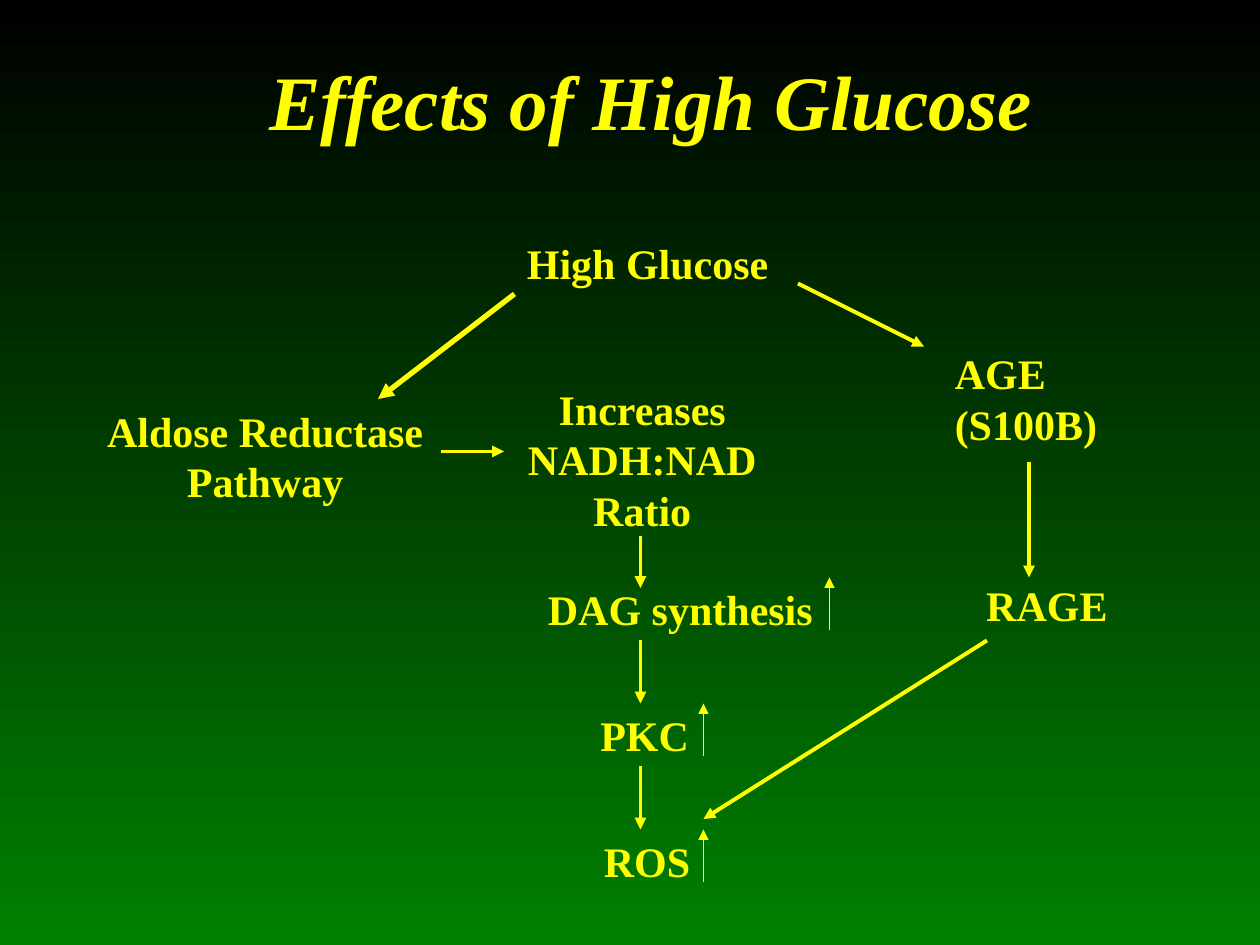
from lxml import etree
from pptx import Presentation
from pptx.dml.color import RGBColor
from pptx.enum.shapes import MSO_CONNECTOR
from pptx.enum.text import MSO_ANCHOR, MSO_AUTO_SIZE, PP_ALIGN
from pptx.oxml.ns import qn
from pptx.util import Pt

STRAIGHT = MSO_CONNECTOR.STRAIGHT
MIDDLE = MSO_ANCHOR.MIDDLE
GROW = MSO_AUTO_SIZE.SHAPE_TO_FIT_TEXT
LEFT, CENTER = PP_ALIGN.LEFT, PP_ALIGN.CENTER

FONT = "Times New Roman"
YELLOW, BLACK, GREEN = "FFFF00", "000000", "008000"
LINE_HEIGHT, LABEL_PADDING = 28.8, 7.2
STEP_PITCH = 72


def rgb(hex_color):
    return RGBColor.from_string(hex_color)


def style_paragraph(paragraph, size, align, italic=False):
    paragraph.alignment = align
    font = paragraph.font
    font.name, font.size = FONT, Pt(size)
    font.bold, font.italic = True, italic
    font.color.rgb = rgb(YELLOW)


def add_label(slide, text, left, top, width, align=LEFT):
    lines = text.split("\n")
    height = len(lines) * LINE_HEIGHT + LABEL_PADDING
    label = slide.shapes.add_textbox(Pt(left), Pt(top), Pt(width), Pt(height))
    frame = label.text_frame
    frame.word_wrap = False
    frame.auto_size = GROW
    frame.text = text
    for paragraph in frame.paragraphs:
        style_paragraph(paragraph, 24, align)


def add_arrow(slide, x1, y1, x2, y2, weight=2.25):
    arrow = slide.shapes.add_connector(STRAIGHT, Pt(x1), Pt(y1), Pt(x2), Pt(y2))
    arrow.line.color.rgb = rgb(YELLOW)
    arrow.line.width = Pt(weight)
    etree.SubElement(arrow.line._ln, qn("a:tailEnd"), type="triangle")
    etree.SubElement(arrow._element.spPr, qn("a:effectLst"))


def paint_background(slide):
    fill = slide.background.fill
    fill.gradient()
    fill.gradient_angle = 270
    for stop, color, position in zip(fill.gradient_stops, (BLACK, GREEN), (0, 1)):
        stop.color.rgb = rgb(color)
        stop.position = position


def add_title(slide, left, top, width, height):
    title = slide.shapes.add_textbox(Pt(left), Pt(top), Pt(width), Pt(height))
    frame = title.text_frame
    frame.word_wrap = True
    frame.vertical_anchor = MIDDLE
    frame.text = "Effects of High Glucose"
    style_paragraph(frame.paragraphs[0], 44, CENTER, italic=True)


def add_glucose_source(slide, left, top):
    """High glucose with its two outgoing branches."""
    add_label(slide, "High Glucose", left, top, 154)
    add_arrow(slide, left, top + 36, left - 78, top + 96, weight=3)
    add_arrow(slide, left + 162, top + 30, left + 234, top + 66)


def add_aldose_pathway(slide, left, top):
    add_label(slide, "Aldose Reductase\nPathway", left, top, 195, CENTER)
    add_arrow(slide, left + 198, top + 30, left + 234, top + 30)
    add_label(slide, "Increases\nNADH:NAD\nRatio", left + 239.5, top - 12.5, 147, CENTER)


def add_synthesis_chain(slide, left, top):
    """Rising products, one below the other, each fed by an arrow from above."""
    chain_x = left + 60
    steps = [
        # product, label offset, label width, rise arrow offset, feed start, feed end
        ("DAG synthesis", 0, 168, 168, -24, 6),
        ("PKC", 30, 67, 96, -36, 0),
        ("ROS", 32, 66, 96, -36, 0),
    ]
    for index, (product, offset, width, rise, feed_start, feed_end) in enumerate(steps):
        step_top = top + index * STEP_PITCH
        add_arrow(slide, chain_x, step_top + feed_start, chain_x, step_top + feed_end)
        add_label(slide, product, left + offset, step_top, width)
        add_arrow(slide, left + rise, step_top + 30, left + rise, step_top, weight=0.75)


def add_age_pathway(slide, left, top):
    add_label(slide, "AGE\n(S100B)", left, top + 0.3, 98)
    add_arrow(slide, left + 49.5, top + 69, left + 49.5, top + 135)
    add_label(slide, "RAGE", left + 18, top + 132.5, 86)
    add_arrow(slide, left + 25.5, top + 171, left - 136.5, top + 273)


def main():
    presentation = Presentation()
    presentation.slide_width, presentation.slide_height = Pt(720), Pt(540)
    slide = presentation.slides.add_slide(presentation.slide_layouts[6])
    paint_background(slide)
    add_title(slide, 66, 12, 612, 90)
    add_glucose_source(slide, 294, 132)
    add_aldose_pathway(slide, 54, 228)
    add_synthesis_chain(slide, 306, 330)
    add_age_pathway(slide, 538.5, 195)
    presentation.save("out.pptx")


if __name__ == "__main__":
    main()
